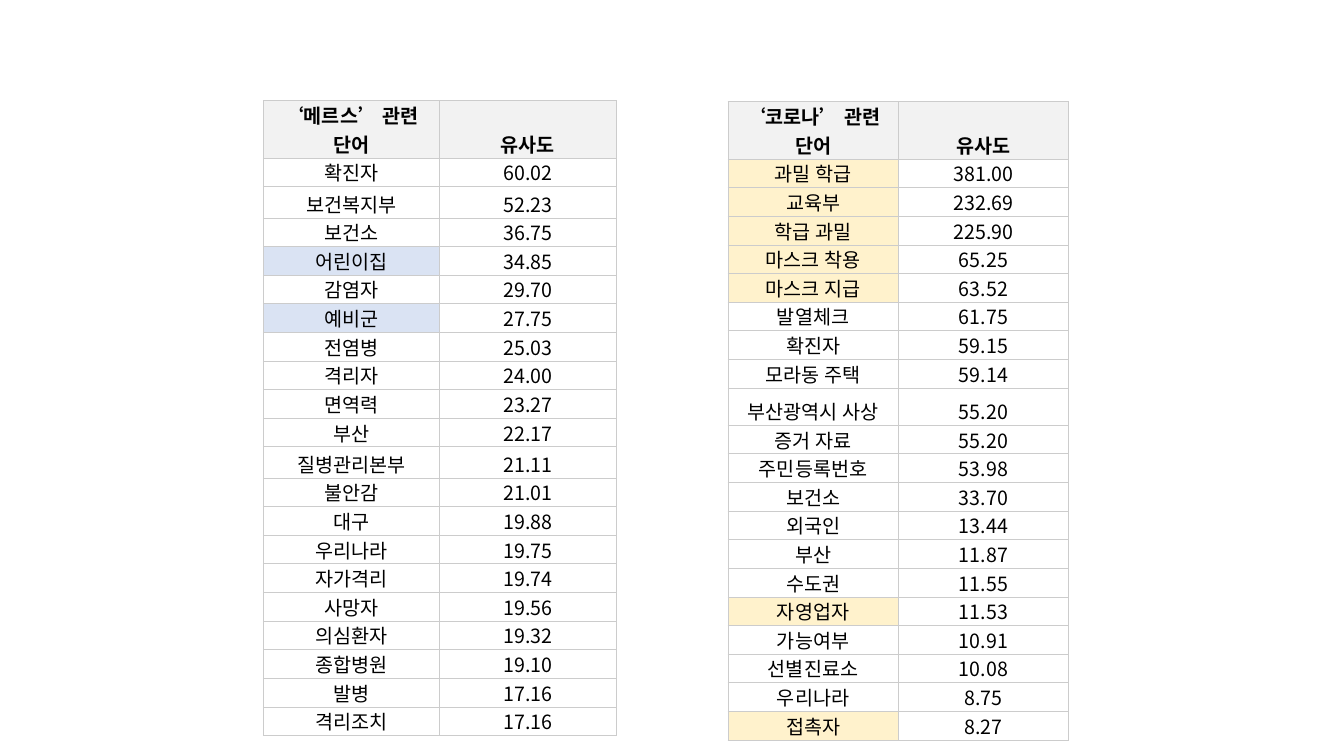
from lxml import etree
from pptx import Presentation
from pptx.dml.color import RGBColor
from pptx.enum.text import MSO_ANCHOR, PP_ALIGN
from pptx.oxml.ns import qn
from pptx.util import Inches, Pt

CENTER = PP_ALIGN.CENTER
BOTTOM = MSO_ANCHOR.BOTTOM
FONT = "Noto Sans CJK KR"
BLANK = 6
COLORS = {
    "text": "000000",
    "edge": "CCCCCC",
    "head": "F2F2F2",
    "blue": "DAE3F3",
    "cream": "FFF2CC",
}

MERS = [
    ("‘메르스’ 관련 단어", "유사도"),
    ("확진자", "60.02"),
    ("보건복지부", "52.23"),
    ("보건소", "36.75"),
    ("어린이집", "34.85"),
    ("감염자", "29.70"),
    ("예비군", "27.75"),
    ("전염병", "25.03"),
    ("격리자", "24.00"),
    ("면역력", "23.27"),
    ("부산", "22.17"),
    ("질병관리본부", "21.11"),
    ("불안감", "21.01"),
    ("대구", "19.88"),
    ("우리나라", "19.75"),
    ("자가격리", "19.74"),
    ("사망자", "19.56"),
    ("의심환자", "19.32"),
    ("종합병원", "19.10"),
    ("발병", "17.16"),
    ("격리조치", "17.16"),
]
CORONA = [
    ("‘코로나’ 관련 단어", "유사도"),
    ("과밀 학급", "381.00"),
    ("교육부", "232.69"),
    ("학급 과밀", "225.90"),
    ("마스크 착용", "65.25"),
    ("마스크 지급", "63.52"),
    ("발열체크", "61.75"),
    ("확진자", "59.15"),
    ("모라동 주택", "59.14"),
    ("부산광역시 사상", "55.20"),
    ("증거 자료", "55.20"),
    ("주민등록번호", "53.98"),
    ("보건소", "33.70"),
    ("외국인", "13.44"),
    ("부산", "11.87"),
    ("수도권", "11.55"),
    ("자영업자", "11.53"),
    ("가능여부", "10.91"),
    ("선별진료소", "10.08"),
    ("우리나라", "8.75"),
    ("접촉자", "8.27"),
]


def put_text(frame, text, size=14, bold=False, color="text", align=CENTER):
    para = frame.paragraphs[0]
    para.alignment = align
    run = para.add_run()
    run.text = text
    font = run.font
    font.name, font.size, font.bold = FONT, Pt(size), bold
    font.color.rgb = RGBColor.from_string(COLORS[color])
    east = etree.SubElement(run._r.get_or_add_rPr(), qn("a:ea"))
    east.set("typeface", FONT)


def paint(cell, color):
    if color:
        cell.fill.solid()
        cell.fill.fore_color.rgb = RGBColor.from_string(COLORS[color])
    else:
        cell.fill.background()


def add_edges(cell, width=0.5):
    # Border lines come before the fill in the cell properties
    props = cell._tc.get_or_add_tcPr()
    for spot, side in enumerate("LRTB"):
        line = etree.Element(qn("a:ln" + side), w=str(Pt(width)))
        fill = etree.SubElement(line, qn("a:solidFill"))
        etree.SubElement(fill, qn("a:srgbClr"), val=COLORS["edge"])
        props.insert(spot, line)


def add_grid(slide, data, left, top, width, base, tall, marks, tint):
    """Rows are base inches high, save those in tall; marks are tinted words."""
    highs = [tall.get(row, base) for row in range(len(data))]
    frame = slide.shapes.add_table(
        len(data), 2, Inches(left), Inches(top),
        Inches(2 * width), Inches(sum(highs)))
    table = frame.table
    table.first_row = table.horz_banding = False
    for col in table.columns:
        col.width = Inches(width)
    for row, (pair, high) in enumerate(zip(data, highs)):
        table.rows[row].height = Inches(high)
        for col, text in enumerate(pair):
            cell = table.cell(row, col)
            cell.vertical_anchor = BOTTOM
            cell.margin_left = cell.margin_right = Inches(0.01)
            cell.margin_top = cell.margin_bottom = 0
            put_text(cell.text_frame, text, bold=row == 0)
            marked = tint if text in marks else None
            paint(cell, "head" if row == 0 else marked)
            add_edges(cell)


def main():
    deck = Presentation()
    deck.slide_width, deck.slide_height = Inches(13.33), Inches(7.5)
    slide = deck.slides.add_slide(deck.slide_layouts[BLANK])

    # Words near MERS
    add_grid(slide, MERS, 2.61, 1, 1.75, base=0.25,
             tall={0: 0.42, 2: 0.31, 11: 0.31},
             marks={"어린이집", "예비군"}, tint="blue")

    # Words near corona
    mid = dict.fromkeys((4, 5, 8, 11, 18), 0.28)
    add_grid(slide, CORONA, 7.22, 1.01, 1.69, base=0.19,
             tall={0: 0.37, 9: 0.37, **mid},
             marks={"과밀 학급", "교육부", "학급 과밀", "마스크 착용",
                    "마스크 지급", "자영업자", "접촉자"}, tint="cream")

    deck.save("out.pptx")


main()
